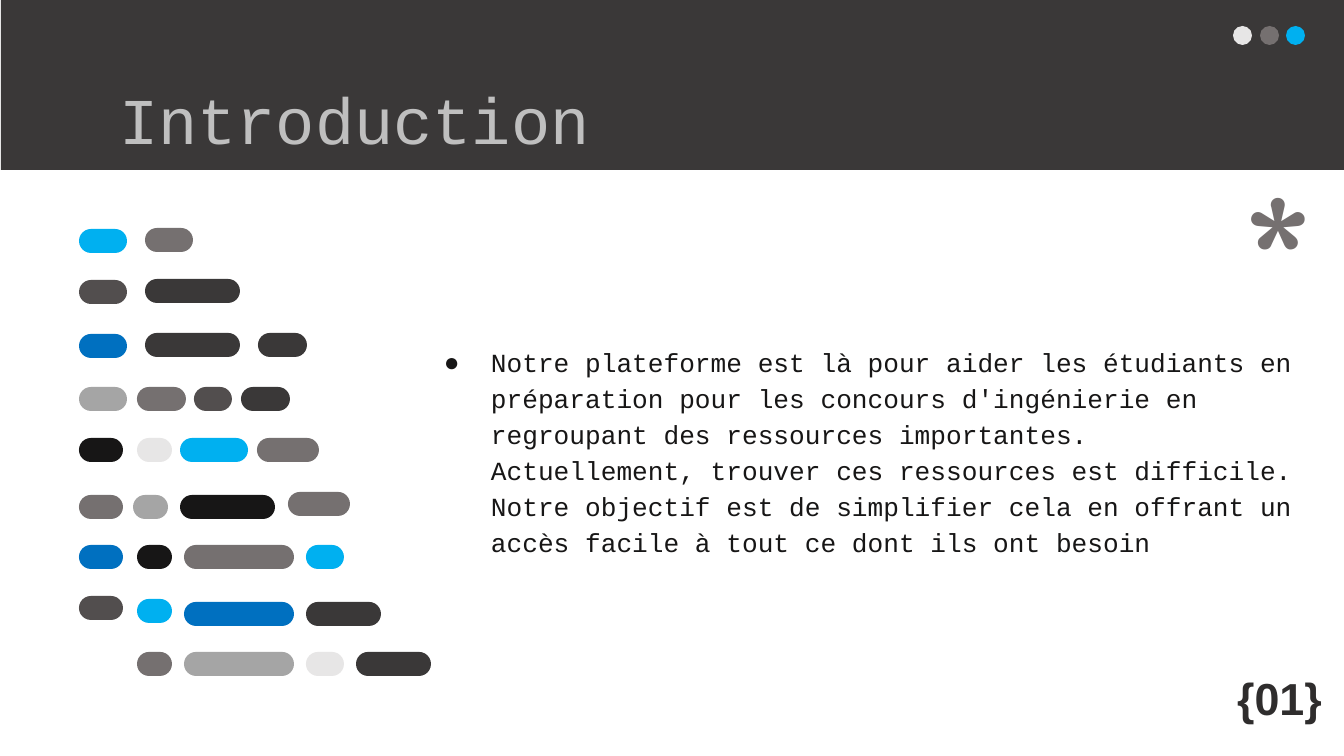
from dataclasses import dataclass

from lxml.etree import SubElement
from pptx import Presentation
from pptx.dml.color import RGBColor
from pptx.enum.shapes import MSO_SHAPE
from pptx.enum.text import MSO_ANCHOR, MSO_AUTO_SIZE, PP_ALIGN
from pptx.oxml.ns import qn
from pptx.shapes.autoshape import Shape
from pptx.shapes.shapetree import GroupShapes
from pptx.text.text import TextFrame
from pptx.util import Emu, Pt

EMU_PER_PIXEL = 914400 / 134.4
INSET = 13
PILL_HEIGHT = 24
DOT_SIZE = 19

CHARCOAL, BROWN_GRAY, GRAY = "3A3838", "524E4E", "757070"
SILVER, PALE, INK = "A5A5A5", "E7E6E6", "171616"
SKY, BLUE = "00B0F0", "0070C0"


@dataclass
class Box:
    left: int
    top: int
    width: int
    height: int

    def emu(self) -> tuple[Emu, ...]:
        return tuple(px(n) for n in (self.left, self.top, self.width, self.height))


@dataclass
class Pill:
    left: int
    top: int
    width: int
    color: str


@dataclass
class TextStyle:
    font: str
    size: int
    color: str
    bold: bool = False


# Rows of the code illustration, from top to bottom
PILLS = [
    Pill(79, 229, 48, SKY), Pill(145, 228, 48, GRAY),
    Pill(79, 280, 48, BROWN_GRAY), Pill(145, 279, 95, CHARCOAL),
    Pill(79, 334, 48, BLUE), Pill(145, 333, 95, CHARCOAL), Pill(258, 333, 49, CHARCOAL),
    Pill(79, 387, 48, SILVER), Pill(137, 387, 49, GRAY),
    Pill(194, 387, 38, BROWN_GRAY), Pill(241, 387, 49, CHARCOAL),
    Pill(79, 438, 44, INK), Pill(137, 438, 35, PALE),
    Pill(180, 438, 68, SKY), Pill(257, 438, 62, GRAY),
    Pill(79, 495, 44, GRAY), Pill(133, 495, 35, SILVER),
    Pill(180, 495, 95, INK), Pill(288, 492, 62, GRAY),
    Pill(79, 545, 44, BLUE), Pill(137, 545, 35, INK),
    Pill(184, 545, 110, GRAY), Pill(306, 545, 38, SKY),
    Pill(79, 596, 44, BROWN_GRAY), Pill(137, 599, 35, SKY),
    Pill(184, 602, 110, BLUE), Pill(306, 602, 75, CHARCOAL),
    Pill(137, 652, 35, GRAY), Pill(184, 652, 110, SILVER),
    Pill(306, 652, 38, PALE), Pill(356, 652, 75, CHARCOAL),
]


def px(length: int) -> Emu:
    return Emu(round(length * EMU_PER_PIXEL))


def rgb(color: str) -> RGBColor:
    return RGBColor.from_string(color)


def add_filled(shapes: GroupShapes, kind: MSO_SHAPE, box: Box, color: str) -> Shape:
    shape = shapes.add_shape(kind, *box.emu())
    shape.shadow.inherit = False
    shape.fill.solid()
    shape.fill.fore_color.rgb = rgb(color)
    shape.line.fill.background()
    return shape


def place(shape: Shape, box: Box) -> None:
    shape.left, shape.top, shape.width, shape.height = box.emu()


def write(frame: TextFrame, text: str, style: TextStyle, align: PP_ALIGN,
          anchor: MSO_ANCHOR, vertical_inset: int = INSET) -> None:
    frame.word_wrap = True
    frame.auto_size = MSO_AUTO_SIZE.NONE
    frame.vertical_anchor = anchor
    frame.margin_left = frame.margin_right = px(INSET)
    frame.margin_top = frame.margin_bottom = px(vertical_inset)
    paragraph = frame.paragraphs[0]
    paragraph.alignment = align
    paragraph.space_before = Pt(0)
    run = paragraph.add_run()
    run.text = text
    run.font.name = style.font
    run.font.size = Pt(style.size)
    run.font.bold = style.bold
    run.font.color.rgb = rgb(style.color)


def add_bullet(frame: TextFrame, color: str) -> None:
    paragraph = frame.paragraphs[0]
    paragraph.line_spacing = 1.15
    properties = paragraph._p.get_or_add_pPr()
    properties.set("marL", str(px(67)))
    properties.set("indent", str(px(-47)))
    bullet_color = SubElement(properties, qn("a:buClr"))
    SubElement(bullet_color, qn("a:srgbClr")).set("val", color)
    SubElement(properties, qn("a:buChar")).set("char", "●")


def main() -> None:
    presentation = Presentation()
    presentation.slide_width, presentation.slide_height = px(1344), px(756)
    slide = presentation.slides.add_slide(presentation.slide_layouts[1])
    shapes = slide.shapes
    title, body = shapes.title, slide.placeholders[1]

    # Header band with three dots
    add_filled(shapes, MSO_SHAPE.RECTANGLE, Box(1, 0, 1344, 170), CHARCOAL)
    dots = shapes.add_group_shape().shapes
    for left, color in ((1233, PALE), (1260, GRAY), (1286, SKY)):
        add_filled(dots, MSO_SHAPE.OVAL, Box(left, 26, DOT_SIZE, DOT_SIZE), color)

    # Title, brought in front of the band
    shapes._spTree.append(title._element)
    place(title, Box(106, 66, 1133, 85))
    write(title.text_frame, "Introduction", TextStyle("Courier New", 35, "BFBFBF"),
          PP_ALIGN.LEFT, MSO_ANCHOR.TOP)

    # Lines of code drawn as pills
    code = shapes.add_group_shape().shapes
    for pill in PILLS:
        box = Box(pill.left, pill.top, pill.width, PILL_HEIGHT)
        shape = add_filled(code, MSO_SHAPE.ROUNDED_RECTANGLE, box, pill.color)
        shape.adjustments[0] = 0.5

    # Body text
    shapes._spTree.append(body._element)
    place(body, Box(411, 224, 909, 452))
    write(body.text_frame,
          "Notre plateforme est là pour aider les étudiants en préparation pour les "
          "concours d'ingénierie en regroupant des ressources importantes. "
          "Actuellement, trouver ces ressources est difficile. Notre objectif est de "
          "simplifier cela en offrant un accès facile à tout ce dont ils ont besoin",
          TextStyle("Courier New", 14, INK), PP_ALIGN.LEFT, MSO_ANCHOR.MIDDLE)
    add_bullet(body.text_frame, INK)

    # Asterisk and page number
    asterisk = shapes.add_textbox(*Box(1230, 146, 77, 117).emu())
    write(asterisk.text_frame, "*", TextStyle("Comfortaa", 96, GRAY),
          PP_ALIGN.LEFT, MSO_ANCHOR.TOP)
    page_number = shapes.add_textbox(*Box(1223, 664, 113, 67).emu())
    write(page_number.text_frame, "{01}", TextStyle("Arial", 24, "2F2D2D", bold=True),
          PP_ALIGN.CENTER, MSO_ANCHOR.TOP, vertical_inset=7)

    presentation.save("out.pptx")


if __name__ == "__main__":
    main()
